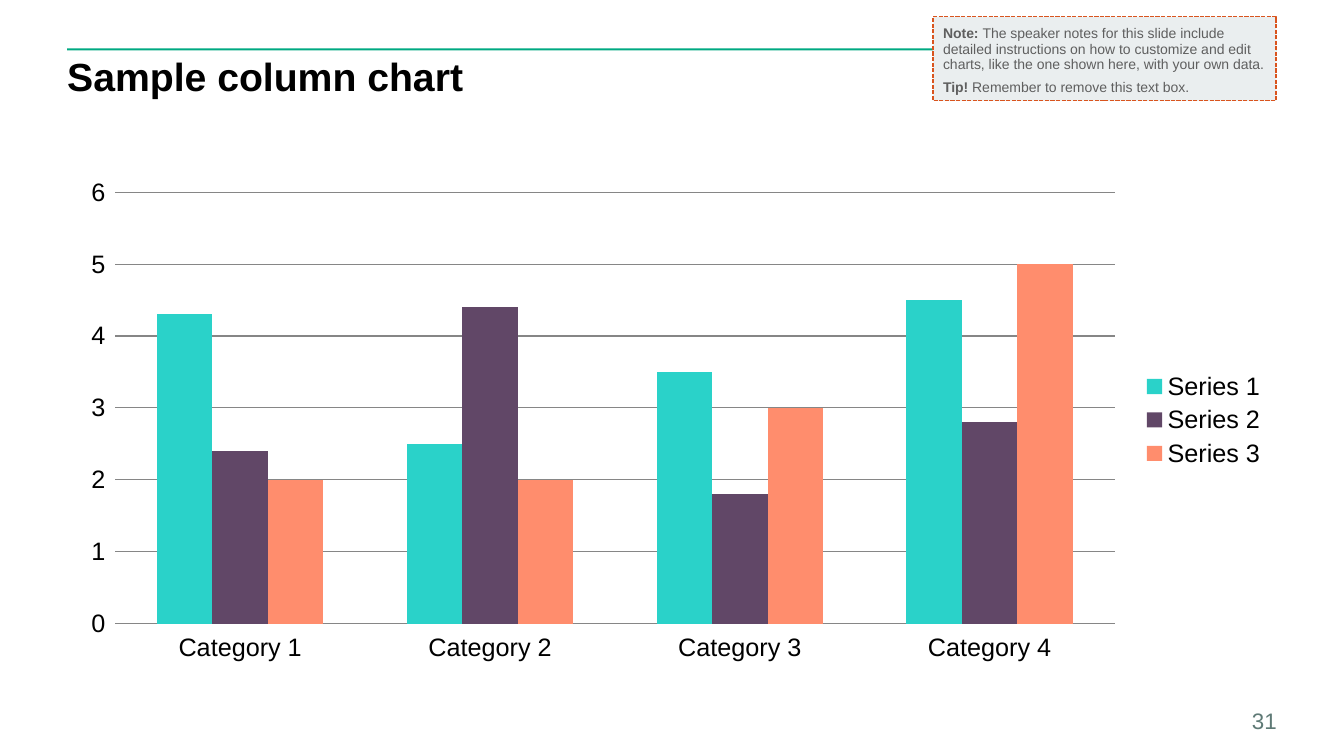
"""Build a slide with a clustered column chart and a dashed note box."""
from dataclasses import dataclass

from pptx import Presentation
from pptx.chart.data import CategoryChartData
from pptx.dml.color import RGBColor
from pptx.enum.chart import XL_CHART_TYPE as ChartType
from pptx.enum.chart import XL_LEGEND_POSITION as LegendPosition
from pptx.enum.chart import XL_TICK_MARK as TickMark
from pptx.enum.dml import MSO_LINE_DASH_STYLE as DashStyle
from pptx.enum.shapes import MSO_SHAPE as ShapeType
from pptx.enum.text import MSO_ANCHOR as Anchor
from pptx.enum.text import MSO_AUTO_SIZE as AutoSize
from pptx.enum.text import PP_ALIGN as Align
from pptx.util import Pt


@dataclass(frozen=True)
class Theme:
    """Font, type sizes and colours of the slide."""
    font: str = "Arial"
    title_size: int = 28
    chart_size: int = 18
    number_size: int = 16
    note_size: int = 10
    text: str = "000000"
    rule: str = "00A982"
    grid: str = "868686"
    number: str = "5F7A76"
    note_text: str = "5F5F5F"
    note_fill: str = "EAEEEF"
    note_line: str = "D9541E"
    series: tuple = ("2AD2C9", "614767", "FF8D6D")


THEME = Theme()
TITLE_ONLY = 5
LEFT, WIDTH = 48, 864
CATEGORIES = [f"Category {number}" for number in range(1, 5)]
SERIES = {
    "Series 1": (4.3, 2.5, 3.5, 4.5),
    "Series 2": (2.4, 4.4, 1.8, 2.8),
    "Series 3": (2, 2, 3, 5),
}
NOTES = (
    ("Note: ", "The speaker notes for this slide include detailed instructions on how to "
     "customize and edit charts, like the one shown here, with your own data."),
    ("Tip! ", "Remember to remove this text box."),
)


def rgb(color):
    """Turn a hex string into a colour."""
    return RGBColor.from_string(color)


def style_font(font, size, color, bold=False):
    """Set typeface, size, colour and weight."""
    font.name = THEME.font
    font.size = Pt(size)
    font.bold = bold
    font.color.rgb = rgb(color)


def set_frame(frame, inset, anchor, wrap=True):
    """Set equal insets, anchor and wrapping of a text frame."""
    frame.margin_left = frame.margin_right = Pt(inset)
    frame.margin_top = frame.margin_bottom = Pt(inset)
    frame.vertical_anchor = anchor
    frame.word_wrap = wrap
    frame.auto_size = AutoSize.NONE


def add_title(slide, text):
    """Place and format the title placeholder."""
    title = slide.shapes.title
    title.left, title.top, title.width, title.height = Pt(LEFT), Pt(41), Pt(WIDTH), Pt(67)
    set_frame(title.text_frame, 0, Anchor.TOP)
    title.text_frame.text = text
    paragraph = title.text_frame.paragraphs[0]
    paragraph.alignment = Align.LEFT
    paragraph.line_spacing = 0.9
    style_font(paragraph.runs[0].font, THEME.title_size, THEME.text, bold=True)


def add_box(slide, left, top, width, height, fill):
    """Add a plain filled rectangle without outline."""
    box = slide.shapes.add_shape(ShapeType.RECTANGLE, Pt(left), Pt(top), Pt(width), Pt(height))
    box.shadow.inherit = False
    box.fill.solid()
    box.fill.fore_color.rgb = rgb(fill)
    box.line.fill.background()
    return box


def add_note(slide):
    """Add the dashed box with bold lead-ins."""
    box = add_box(slide, 666.5, 12, 245, 60, THEME.note_fill)
    box.line.color.rgb = rgb(THEME.note_line)
    box.line.width = Pt(1)
    box.line.dash_style = DashStyle.SQUARE_DOT
    frame = box.text_frame
    set_frame(frame, 7.2, Anchor.TOP)
    frame.text = "\n".join(lead for lead, _ in NOTES)
    for paragraph, (_, body) in zip(frame.paragraphs, NOTES):
        paragraph.alignment = Align.LEFT
        paragraph.line_spacing = 0.9
        paragraph.space_before = Pt(6)
        paragraph.add_run().text = body
        for run, bold in zip(paragraph.runs, (True, False)):
            style_font(run.font, THEME.note_size, THEME.note_text, bold)


def add_slide_number(slide, text):
    """Add the right-aligned slide number."""
    box = slide.shapes.add_textbox(Pt(870), Pt(506), Pt(42), Pt(18))
    set_frame(box.text_frame, 0, Anchor.BOTTOM, wrap=False)
    box.text_frame.text = text
    paragraph = box.text_frame.paragraphs[0]
    paragraph.alignment = Align.RIGHT
    style_font(paragraph.runs[0].font, THEME.number_size, THEME.number)


def style_axes(chart):
    """Hide the axis lines and show horizontal gridlines."""
    for axis in (chart.category_axis, chart.value_axis):
        axis.major_tick_mark = TickMark.OUTSIDE
        axis.minor_tick_mark = TickMark.NONE
        axis.format.line.fill.background()
    value_axis = chart.value_axis
    value_axis.minimum_scale, value_axis.maximum_scale, value_axis.major_unit = 0, 6, 1
    value_axis.has_major_gridlines = True
    grid_line = value_axis.major_gridlines.format.line
    grid_line.color.rgb = rgb(THEME.grid)
    grid_line.width = Pt(0.75)


def add_column_chart(slide):
    """Add the clustered column chart with its legend."""
    data = CategoryChartData()
    data.categories = CATEGORIES
    for name, values in SERIES.items():
        data.add_series(name, values)
    chart = slide.shapes.add_chart(
        ChartType.COLUMN_CLUSTERED, Pt(LEFT), Pt(120), Pt(WIDTH), Pt(360), data).chart
    style_font(chart.font, THEME.chart_size, THEME.text)
    chart.has_title = False
    chart.has_legend = True
    chart.legend.position = LegendPosition.RIGHT
    chart.legend.include_in_layout = False
    style_axes(chart)
    plot = chart.plots[0]
    plot.gap_width = 150
    plot.overlap = 0
    plot.vary_by_categories = False
    for series, color in zip(plot.series, THEME.series):
        series.invert_if_negative = False
        series.format.fill.solid()
        series.format.fill.fore_color.rgb = rgb(color)


def main():
    """Build and save the presentation."""
    presentation = Presentation()
    presentation.slide_width, presentation.slide_height = Pt(960), Pt(540)
    slide = presentation.slides.add_slide(presentation.slide_layouts[TITLE_ONLY])
    add_box(slide, LEFT, 34.5, WIDTH, 1.5, THEME.rule)
    add_title(slide, "Sample column chart")
    add_column_chart(slide)
    add_slide_number(slide, "31")
    add_note(slide)
    presentation.save("out.pptx")


if __name__ == "__main__":
    main()
